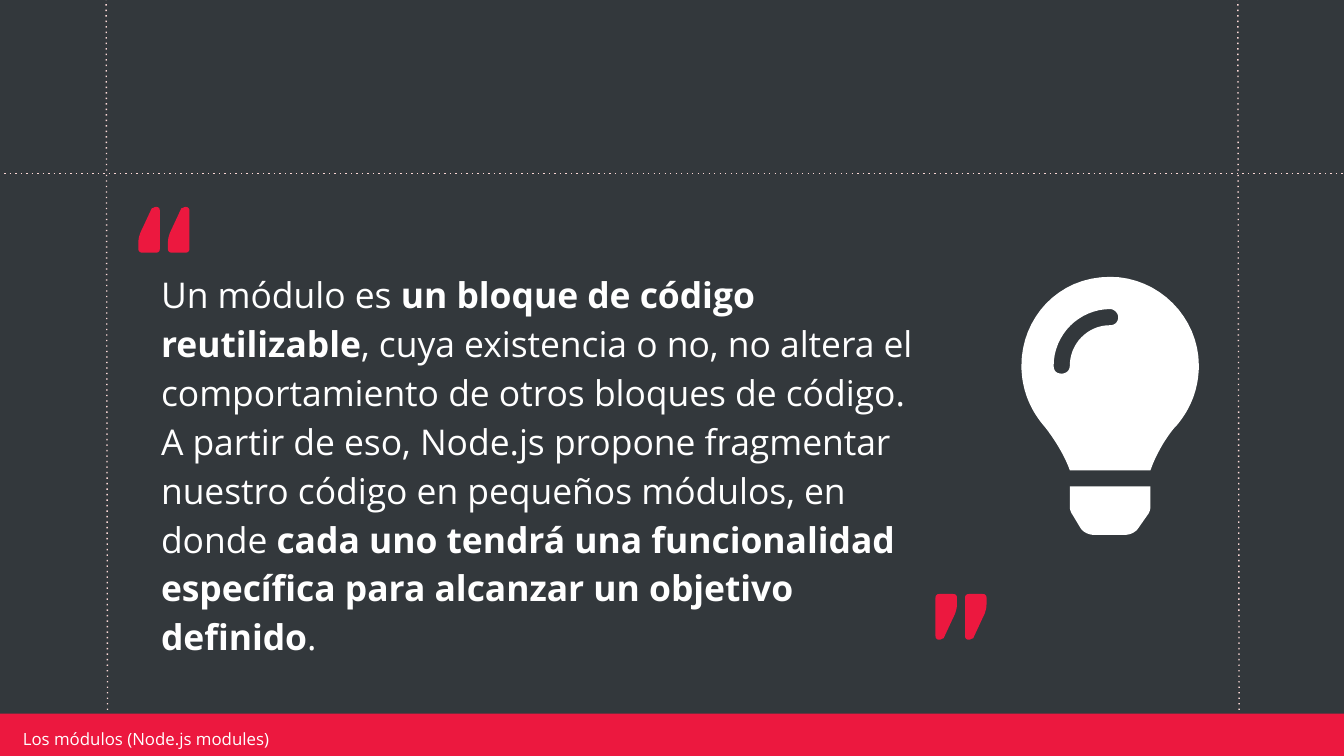
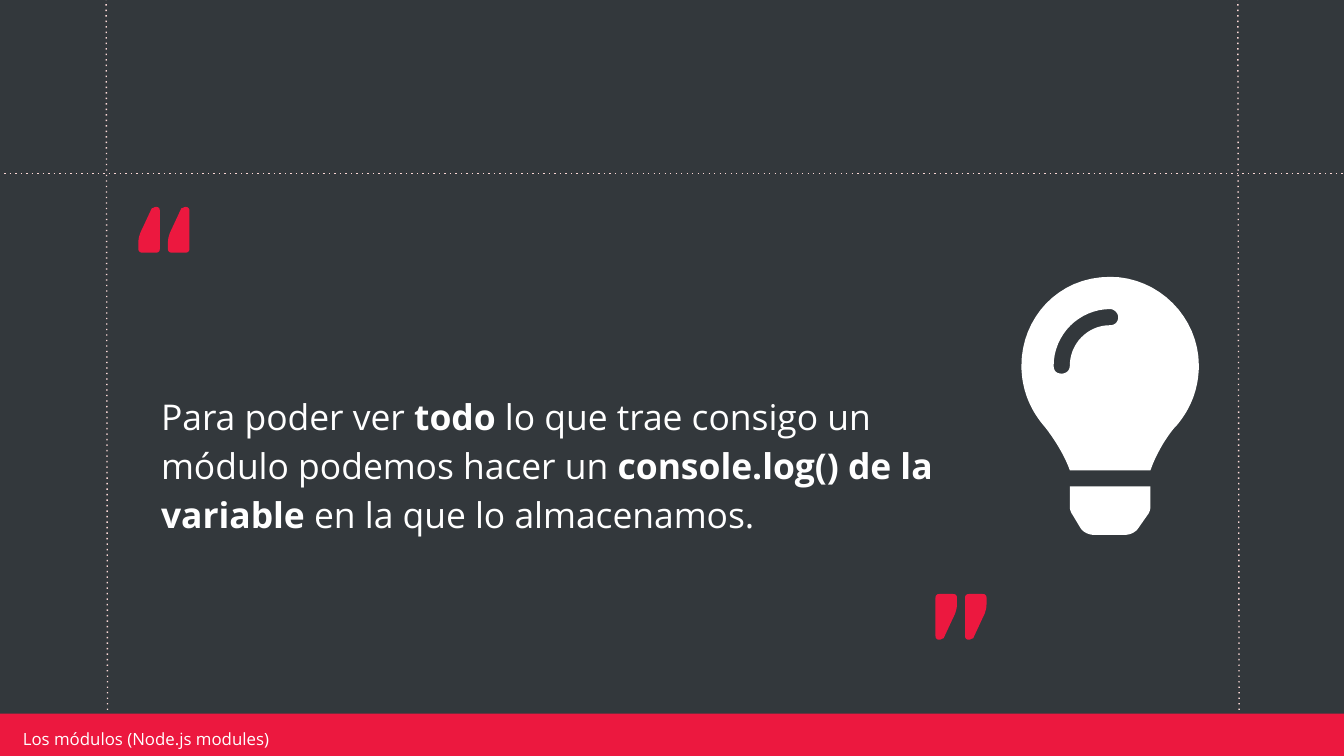
from lxml import etree
from pptx import Presentation
from pptx.dml import color
from pptx.enum import shapes, text
from pptx.oxml import ns
from pptx.util import Inches, Pt

FONT = "Open Sans"
DARK, RED, WHITE, GUIDE = "33383C", "EC183F", "FFFFFF", "FCD8D6"
FOOTER = "Los módulos (Node.js modules)"
GUIDES = [
    (0.79, -0.01, 0.8, 5.33),
    (9.21, -0.01, 9.22, 5.33),
    (-0.01, 1.29, 10.03, 1.29),
    (-0.02, 5.32, 10.02, 5.32),
]
QUOTES = [
    [
        ["Un módulo es ", "un bloque de código reutilizable",
         ", cuya existencia o no, no altera el comportamiento de otros bloques de código."],
        ["A partir de eso, Node.js propone fragmentar nuestro código en pequeños módulos, en donde ",
         "cada uno tendrá una funcionalidad específica para alcanzar un objetivo definido", "."],
    ],
    [
        ["Para poder ver ", "todo", " lo que trae consigo un módulo podemos hacer un ",
         "console.log() de la variable", " en la que lo almacenamos."],
    ],
]
BULB_BASE = [
    (0.36, 1.71), (0.36, 1.73, 0.37, 1.76, 0.38, 1.77), (0.44, 1.87),
    (0.46, 1.9, 0.5, 1.92, 0.54, 1.92), (0.77, 1.92),
    (0.81, 1.92, 0.85, 1.9, 0.87, 1.87), (0.94, 1.77),
    (0.95, 1.76, 0.96, 1.73, 0.96, 1.71), (0.96, 1.56), (0.36, 1.56),
]
BULB_GLASS = [
    (0, 0.66), (0, 0.83, 0.06, 0.98, 0.16, 1.1), (0.22, 1.17, 0.32, 1.32, 0.36, 1.44),
    (0.96, 1.44), (1, 1.32, 1.09, 1.17, 1.16, 1.1), (1.26, 0.98, 1.32, 0.83, 1.32, 0.66),
    (1.32, 0.3, 1.02, 0, 0.66, 0), (0.27, 0, 0, 0.31, 0, 0.66),
]
BULB_SHINE = [
    (0.66, 0.36), (0.49, 0.36, 0.36, 0.5, 0.36, 0.66), (0.36, 0.7, 0.33, 0.72, 0.3, 0.72),
    (0.26, 0.72, 0.24, 0.7, 0.24, 0.66), (0.24, 0.43, 0.43, 0.24, 0.66, 0.24),
    (0.69, 0.24, 0.72, 0.27, 0.72, 0.3), (0.72, 0.34, 0.69, 0.36, 0.66, 0.36),
]
QUOTE_MARK = [
    (0.13, 0), (0.12, 0, 0.11, 0.01, 0.1, 0.01), (0.03, 0.16),
    (0.01, 0.2, 0, 0.23, 0, 0.27), (0, 0.31), (0, 0.33, 0.01, 0.34, 0.03, 0.34),
    (0.13, 0.34), (0.15, 0.34, 0.16, 0.33, 0.16, 0.31), (0.16, 0.03),
    (0.16, 0.01, 0.15, 0, 0.13, 0),
]


def rgb(value):
    """Turn a hex string into a colour."""
    return color.RGBColor.from_string(value)


def paint(part, fill):
    """Give a shape a flat fill without line or shadow."""
    part.shadow.inherit = False
    part.fill.solid()
    part.fill.fore_color.rgb = rgb(fill)
    part.line.fill.background()


def flatten(contour, steps=16):
    """Expand a contour of corners and cubic curves into points."""
    points = [contour[0]]
    for x1, y1, *rest in contour[1:]:
        if not rest:
            points.append((x1, y1))
            continue
        x0, y0 = points[-1]
        x2, y2, x3, y3 = rest
        for step in range(1, steps + 1):
            t = step / steps
            weights = (1 - t) ** 3, 3 * t * (1 - t) ** 2, 3 * t * t * (1 - t), t ** 3
            points.append(tuple(
                sum(w * c for w, c in zip(weights, axis))
                for axis in ((x0, x1, x2, x3), (y0, y1, y2, y3))
            ))
    return [(Inches(x), Inches(y)) for x, y in points]


def outline(canvas, left, top, contours, fill):
    """Draw closed contours as one filled shape."""
    first, *others = [flatten(contour) for contour in contours]
    builder = canvas.build_freeform(*first[0])
    builder.add_line_segments(first[1:])
    for points in others:
        builder.move_to(*points[0])
        builder.add_line_segments(points[1:])
    drawn = builder.convert_to_shape(Inches(left), Inches(top))
    paint(drawn, fill)
    return drawn


def text_area(slide, left, top, width, height, inset_x, inset_y):
    """Add a wrapping, vertically centred text frame."""
    frame = slide.shapes.add_textbox(*map(Inches, (left, top, width, height))).text_frame
    frame.word_wrap = True
    frame.vertical_anchor = text.MSO_ANCHOR.MIDDLE
    frame.margin_left = frame.margin_right = Inches(inset_x)
    frame.margin_top = frame.margin_bottom = Inches(inset_y)
    return frame


def style(run, size, bold=False):
    """Set the white deck font on a run."""
    run.font.name = FONT
    run.font.size = Pt(size)
    run.font.bold = bold
    run.font.color.rgb = rgb(WHITE)


def backdrop(slide):
    """Set the dark background, dotted guides and red band."""
    slide.background.fill.solid()
    slide.background.fill.fore_color.rgb = rgb(DARK)
    for ends in GUIDES:
        guide = slide.shapes.add_connector(shapes.MSO_CONNECTOR.STRAIGHT, *map(Inches, ends))
        guide.line.color.rgb = rgb(GUIDE)
        guide.line.width = Pt(0.75)
        properties = guide._element.spPr
        stroke = properties.find(ns.qn("a:ln"))
        etree.SubElement(stroke, ns.qn("a:prstDash")).set("val", "dot")
        etree.SubElement(properties, ns.qn("a:effectLst"))
    band = slide.shapes.add_shape(
        shapes.MSO_SHAPE.RECTANGLE, *map(Inches, (-0.02, 5.31, 10.03, 0.36)))
    paint(band, RED)


def quote_body(slide, left, top, width, height, paragraphs):
    """Write paragraphs whose runs alternate regular and bold."""
    frame = text_area(slide, left, top, width, height, 0.1, 0.05)
    for index, pieces in enumerate(paragraphs):
        paragraph = frame.add_paragraph() if index else frame.paragraphs[0]
        paragraph.line_spacing = 1.15
        for position, piece in enumerate(pieces):
            run = paragraph.add_run()
            run.text = piece
            style(run, 19, position % 2 == 1)


def quote_marks(slide, left, top, rotation=0):
    """Draw a grouped pair of quotation marks."""
    pair = slide.shapes.add_group_shape()
    for index in range(2):
        mark = outline(pair.shapes, left + 0.22 * index, top, [QUOTE_MARK], RED)
        mark.rotation = rotation


def footer(slide, left, top, width, height):
    """Write the module name over the band."""
    frame = text_area(slide, left, top, width, height, 0.05, 0.02)
    frame.text = FOOTER
    style(frame.paragraphs[0].runs[0], 9)


def quote_slide(deck, paragraphs):
    """Build one quotation slide."""
    slide = deck.slides.add_slide(deck.slide_layouts[6])
    backdrop(slide)
    quote_body(slide, 1.1, 2.33, 6.05, 2.22, paragraphs)
    outline(slide.shapes, 7.6, 2.06, [BULB_BASE, BULB_GLASS, BULB_SHINE], WHITE)
    quote_marks(slide, 1.03, 1.54)
    quote_marks(slide, 6.96, 4.42, 180)
    footer(slide, 0.12, 5.42, 2.39, 0.15)


def main():
    """Build and save the deck."""
    deck = Presentation()
    deck.slide_width = Inches(10)
    deck.slide_height = deck.slide_width * 9 // 16
    for paragraphs in QUOTES:
        quote_slide(deck, paragraphs)
    deck.save("out.pptx")


if __name__ == "__main__":
    main()
